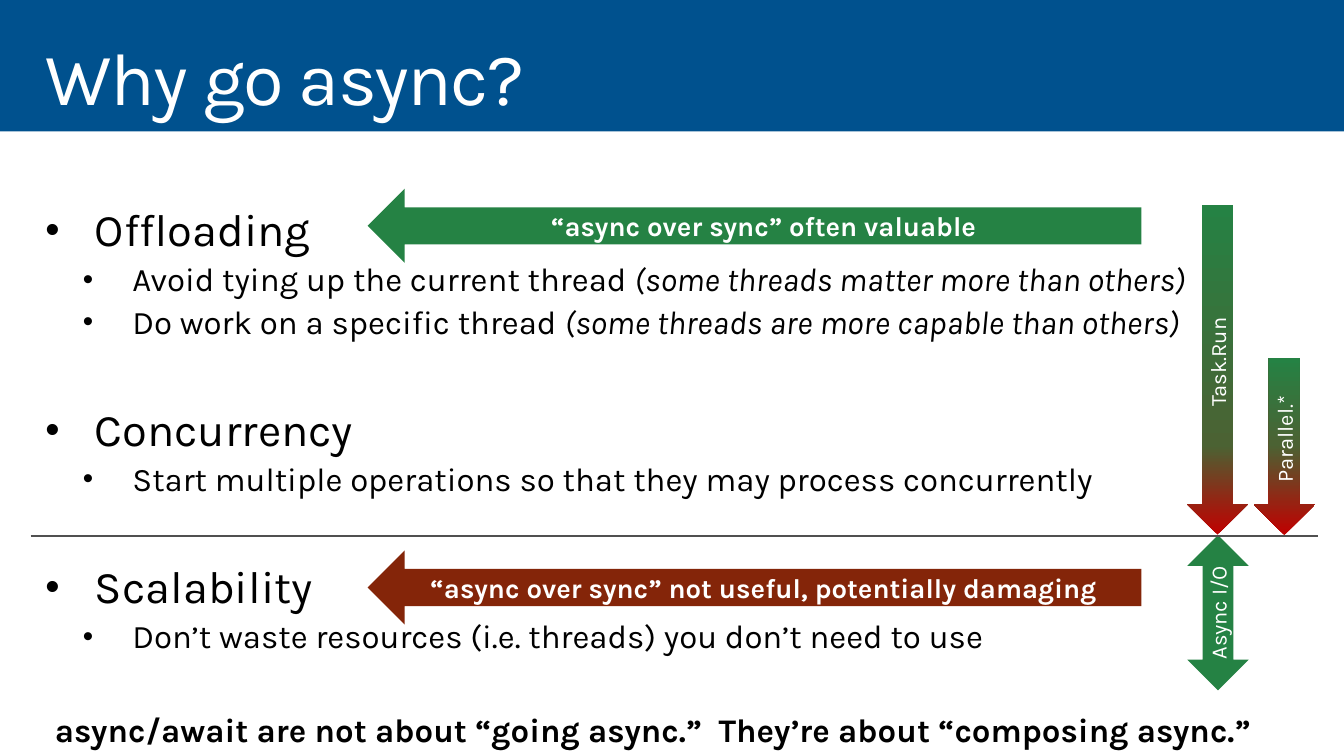
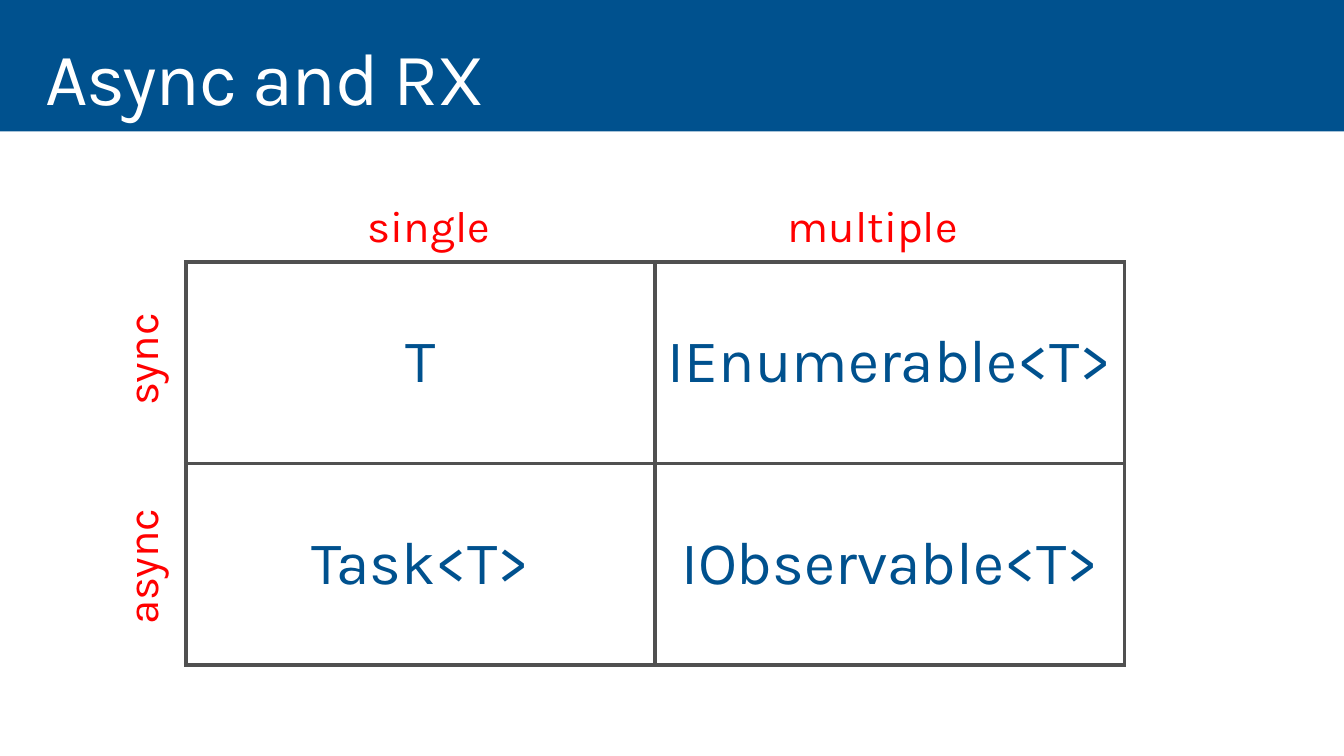
from lxml import etree
from pptx import Presentation
from pptx.dml.color import RGBColor
from pptx.enum.shapes import MSO_CONNECTOR, MSO_SHAPE
from pptx.enum.text import MSO_ANCHOR, PP_ALIGN
from pptx.oxml.ns import qn
from pptx.util import Pt

PX = 9144  # 100 px to the inch
FONT = "Karla"
COLORS = {
    "blue": "00518E", "white": "FFFFFF", "black": "000000", "gray": "505050",
    "green": "258244", "rust": "842509", "red": "FF0000",
    "tip": "C00000", "olive": "4B6233",
}
LEFT, CENTER = PP_ALIGN.LEFT, PP_ALIGN.CENTER
TOP, MIDDLE = MSO_ANCHOR.TOP, MSO_ANCHOR.MIDDLE
LEFT_ARROW, BOTH_ARROW = MSO_SHAPE.LEFT_ARROW, MSO_SHAPE.LEFT_RIGHT_ARROW
RECTANGLE, STRAIGHT = MSO_SHAPE.RECTANGLE, MSO_CONNECTOR.STRAIGHT


def rgb(name):
    return RGBColor.from_string(COLORS[name])


def set_text(tf, text, size, color, align=LEFT, anchor=TOP, inset=(0, 0),
             bold=False, spacing=None):
    tf.word_wrap = True
    tf.vertical_anchor = anchor
    tf.margin_left = tf.margin_right = inset[0] * PX
    tf.margin_top = tf.margin_bottom = inset[1] * PX
    tf.text = text
    p = tf.paragraphs[0]
    p.alignment = align
    p.line_spacing = spacing
    r = p.runs[0]
    r.font.name, r.font.size, r.font.bold = FONT, Pt(size), bold
    r.font.color.rgb = rgb(color)
    return r


prs = Presentation()
prs.slide_width, prs.slide_height = 1360 * PX, 765 * PX

# Shared frame: blue background, white panel, title
slides = []
for title in ("Why go async?", "Async and RX"):
    s = prs.slides.add_slide(prs.slide_layouts[6])
    s.background.fill.solid()
    s.background.fill.fore_color.rgb = rgb("blue")
    panel = s.shapes.add_shape(RECTANGLE, 0, 133 * PX, 1360 * PX, 632 * PX)
    panel.shadow.inherit = False
    panel.fill.solid()
    panel.fill.fore_color.rgb = rgb("white")
    panel.line.fill.background()
    sp = s.shapes.add_textbox(30 * PX, 32 * PX, 1300 * PX, 100 * PX)
    r = set_text(sp.text_frame, title, 54, "white", inset=(16, 10), spacing=0.9)
    r.font._element.set("spc", "-100")
    slides.append(s)
why, rx = slides

# Slide 1: bullets, as (level, space before, text, italic aside)
bullets = [
    (0, 0, "Offloading", ""),
    (1, 5, "Avoid tying up the current thread ", "(some threads matter more than others)"),
    (1, 5, "Do work on a specific thread ", "(some threads are more capable than others)"),
    (0, 48, "Concurrency", ""),
    (1, 5, "Start multiple operations so that they may process concurrently", ""),
    (0, 48, "Scalability", ""),
    (1, 5, "Don’t waste resources (i.e. threads) you don’t need to use", ""),
]
sp = why.shapes.add_textbox(30 * PX, 200 * PX, 1317 * PX, 487 * PX)
tf = sp.text_frame
tf.word_wrap = True
tf.margin_left = tf.margin_right = 16 * PX
tf.margin_top = tf.margin_bottom = 10 * PX
for i, (level, before, text, aside) in enumerate(bullets):
    p = tf.paragraphs[0] if i == 0 else tf.add_paragraph()
    p.level = level
    p.line_spacing = 0.9
    p.space_before = Pt(before)
    pPr = p._p.get_or_add_pPr()
    pPr.set("marL", str((50, 88)[level] * PX))
    pPr.set("indent", str(-50 * PX))
    etree.SubElement(pPr, qn("a:buSzPct")).set("val", "90000")
    etree.SubElement(pPr, qn("a:buFont")).set("typeface", "Arial")
    etree.SubElement(pPr, qn("a:buChar")).set("char", "•")
    for part, italic in ((text, False), (aside, True)):
        if part:
            r = p.add_run()
            r.text = part
            r.font.name, r.font.size = FONT, Pt((33, 24)[level])
            r.font.italic = italic
            r.font.color.rgb = rgb("black")

# Slide 1: arrows; a middle stop means a gradient from red tip to green
arrows = [
    (LEFT_ARROW, 372, 191, 783, 75, 0, "green", None, "“async over sync” often valuable"),
    (LEFT_ARROW, 372, 557, 783, 75, 0, "rust", None,
     "“async over sync” not useful, potentially damaging"),
    (LEFT_ARROW, 1065, 343, 334, 62, 270, "green", 27, "Task.Run"),
    (LEFT_ARROW, 1210, 421, 179, 62, 270, "green", 51, "Parallel.*"),
    (BOTH_ARROW, 1154, 589, 157, 62, 270, "green", None, "Async I/O"),
]
for kind, x, y, w, h, turn, color, middle, text in arrows:
    sp = why.shapes.add_shape(kind, x * PX, y * PX, w * PX, h * PX)
    sp.shadow.inherit = False
    sp.rotation = turn
    sp.line.fill.background()
    if middle:
        sp.fill.gradient()
        sp.fill.gradient_angle = 0
        stops = sp._element.spPr.find(".//" + qn("a:gsLst"))
        for old in list(stops):
            stops.remove(old)
        for pos, name in ((0, "tip"), (middle, "olive"), (100, color)):
            gs = etree.SubElement(stops, qn("a:gs"))
            gs.set("pos", str(pos * 1000))
            etree.SubElement(gs, qn("a:srgbClr")).set("val", COLORS[name])
    else:
        sp.fill.solid()
        sp.fill.fore_color.rgb = rgb(color)
    set_text(sp.text_frame, text, 16 if turn else 20, "white", CENTER, MIDDLE,
             (0, 5), bold=not turn)

# Slide 1: divider and conclusion
line = why.shapes.add_connector(STRAIGHT, 31 * PX, 542 * PX, 1334 * PX, 542 * PX)
line.line.color.rgb = rgb("gray")
line.line.width = Pt(1.5)
etree.SubElement(line._element.spPr, qn("a:effectLst"))
sp = why.shapes.add_textbox(31 * PX, 713 * PX, 1259 * PX, 57 * PX)
set_text(sp.text_frame,
         "async/await are not about “going async.”  They’re about “composing async.”",
         24, "black", CENTER, inset=(16, 10), bold=True, spacing=0.9)

# Slide 2: row and column labels
labels = [
    ("sync", 75, 315, 142, 48, 270),
    ("async", 82, 530, 142, 62, 270),
    ("single", 372, 207, 198, 53, 0),
    ("multiple", 797, 207, 234, 53, 0),
]
for text, x, y, w, h, turn in labels:
    sp = rx.shapes.add_textbox(x * PX, y * PX, w * PX, h * PX)
    sp.rotation = turn
    set_text(sp.text_frame, text, 32, "red", spacing=0.9)

# Slide 2: table of types
types = [["T", "IEnumerable<T>"], ["Task<T>", "IObservable<T>"]]
table = rx.shapes.add_table(2, 2, 188 * PX, 265 * PX, 950 * PX, 408 * PX).table
table.first_row = table.horz_banding = False
for i, row in enumerate(types):
    for j, text in enumerate(row):
        cell = table.cell(i, j)
        set_text(cell.text_frame, text, 44, "blue", CENTER)
        cell.vertical_anchor = MIDDLE
        cell.margin_left = cell.margin_right = 10 * PX
        cell.margin_top = cell.margin_bottom = 5 * PX
        tcPr = cell._tc.get_or_add_tcPr()
        for side in ("lnL", "lnR", "lnT", "lnB"):
            ln = etree.SubElement(tcPr, qn("a:" + side))
            ln.set("w", str(Pt(3)))
            fill = etree.SubElement(ln, qn("a:solidFill"))
            etree.SubElement(fill, qn("a:srgbClr")).set("val", COLORS["gray"])
        cell.fill.background()

prs.save("out.pptx")
